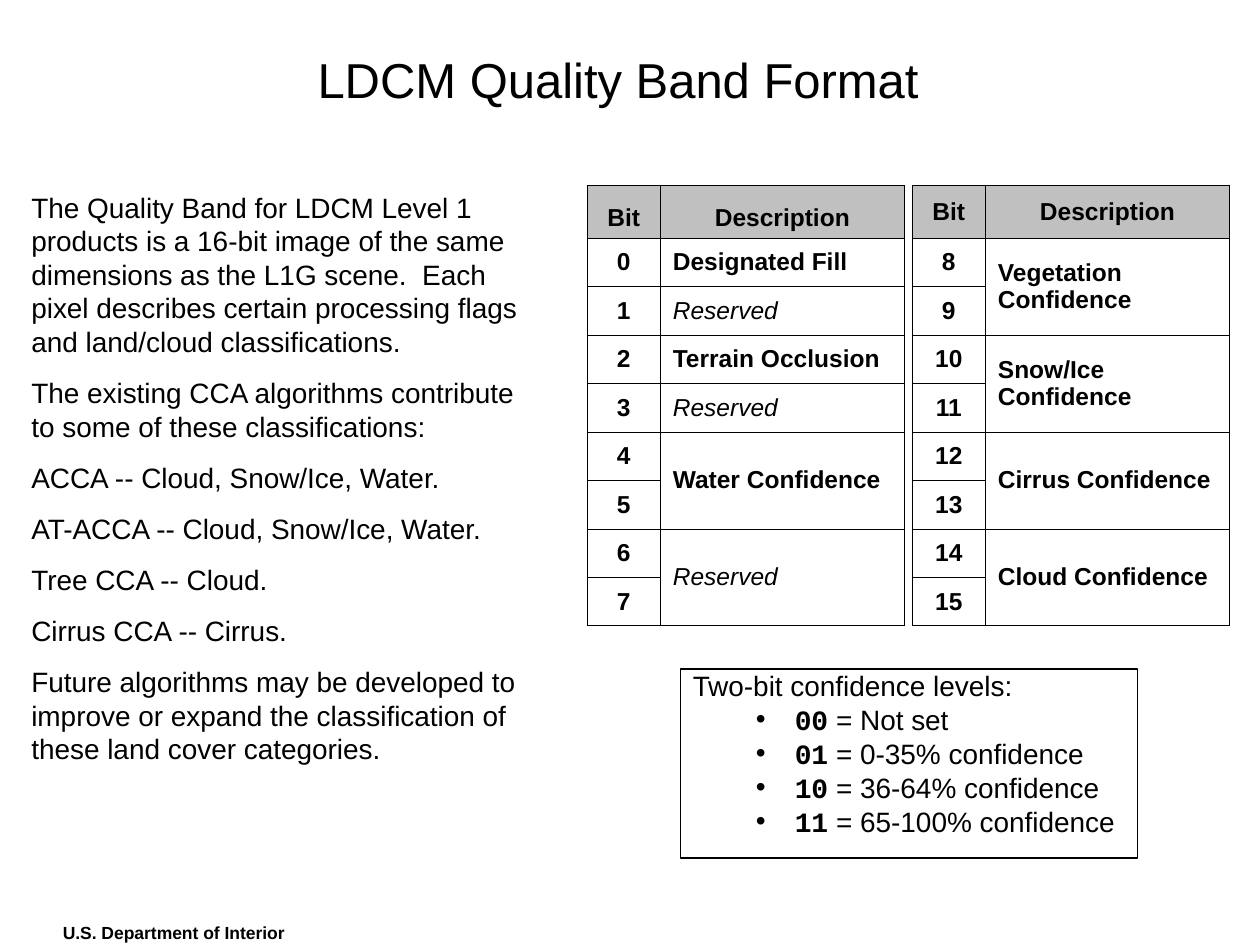
from lxml import etree
from pptx import Presentation
from pptx.dml.color import RGBColor
from pptx.enum.shapes import MSO_SHAPE
from pptx.enum.text import MSO_ANCHOR, MSO_AUTO_SIZE, PP_ALIGN
from pptx.oxml.ns import qn
from pptx.util import Inches, Pt

LEFT, CENTER = PP_ALIGN.LEFT, PP_ALIGN.CENTER
TOP, MIDDLE, BOTTOM = MSO_ANCHOR.TOP, MSO_ANCHOR.MIDDLE, MSO_ANCHOR.BOTTOM
RECTANGLE = MSO_SHAPE.RECTANGLE
NO_AUTOFIT = MSO_AUTO_SIZE.NONE
BLACK, WHITE, GREY = "000000", "FFFFFF", "C0C0C0"
SANS, MONO = "Arial", "Courier New"

INTRO = [
    "The Quality Band for LDCM Level 1 products is a 16-bit image of the same "
    "dimensions as the L1G scene.  Each pixel describes certain processing flags "
    "and land/cloud classifications.",
    "The existing CCA algorithms contribute to some of these classifications:",
    "ACCA -- Cloud, Snow/Ice, Water.",
    "AT-ACCA -- Cloud, Snow/Ice, Water.",
    "Tree CCA -- Cloud.",
    "Cirrus CCA -- Cirrus.",
    "Future algorithms may be developed to improve or expand the classification "
    "of these land cover categories.",
]
# Each field: description and number of bits it takes
LOW_FIELDS = [("Designated Fill", 1), ("Reserved", 1), ("Terrain Occlusion", 1),
              ("Reserved", 1), ("Water Confidence", 2), ("Reserved", 2)]
HIGH_FIELDS = [("Vegetation Confidence", 2), ("Snow/Ice Confidence", 2),
               ("Cirrus Confidence", 2), ("Cloud Confidence", 2)]
LEVELS = [("00", "Not set"), ("01", "0-35% confidence"),
          ("10", "36-64% confidence"), ("11", "65-100% confidence")]


def color(value):
    return RGBColor.from_string(value)


def add_run(paragraph, text, size, bold=False, italic=False, font=SANS):
    run = paragraph.add_run()
    run.text = text
    run.font.size = Pt(size)
    run.font.name = font
    run.font.bold = bold
    run.font.italic = italic
    run.font.color.rgb = color(BLACK)


def add_paragraph(frame, first, before=0, spacing=None, align=LEFT):
    paragraph = frame.paragraphs[0] if first else frame.add_paragraph()
    paragraph.alignment = align
    paragraph.space_before = Pt(before)
    if spacing:
        paragraph.line_spacing = spacing
    return paragraph


def add_bullet(paragraph, margin, indent):
    props = paragraph._p.get_or_add_pPr()
    props.set("marL", str(margin))
    props.set("indent", str(indent))
    etree.SubElement(props, qn("a:buFont")).set("typeface", SANS)
    etree.SubElement(props, qn("a:buChar")).set("char", "•")


def place_title(slide, left, top, width, height):
    title = slide.shapes.title
    title.left, title.top, title.width, title.height = left, top, width, height
    frame = title.text_frame
    frame.auto_size = NO_AUTOFIT
    frame.vertical_anchor = MIDDLE
    add_run(add_paragraph(frame, True), "LDCM Quality Band Format", 28)


def add_text(slide, box, texts, size, before, bold=False):
    frame = slide.shapes.add_textbox(*box).text_frame
    frame.word_wrap = True
    for index, text in enumerate(texts):
        add_run(add_paragraph(frame, index == 0, before), text, size, bold)


def add_cell_borders(cell):
    props = cell._tc.get_or_add_tcPr()
    for position, side in enumerate(("lnL", "lnR", "lnT", "lnB")):
        border = etree.Element(qn("a:" + side), w=str(Pt(0.45)))
        fill = etree.SubElement(border, qn("a:solidFill"))
        etree.SubElement(fill, qn("a:srgbClr")).set("val", BLACK)
        props.insert(position, border)


def fill_cell(cell, text, align=LEFT, anchor=MIDDLE):
    cell.vertical_anchor = anchor
    reserved = text == "Reserved"
    add_run(add_paragraph(cell.text_frame, True, align=align), text, 14,
            bold=not reserved, italic=reserved)


def add_bit_table(slide, left, top, width, height, first_bit, fields, header_anchor):
    bits = sum(count for _, count in fields)
    table = slide.shapes.add_table(bits + 1, 2, left, top, width, height).table
    table.first_row = table.horz_banding = False
    table.columns[0].width = Inches(0.58)
    table.columns[1].width = width - Inches(0.58)
    header_height = Inches(0.42)
    for index, row in enumerate(table.rows):
        row.height = (height - header_height) // bits if index else header_height
        for cell in row.cells:
            cell.fill.solid()
            cell.fill.fore_color.rgb = color(WHITE if index else GREY)
            add_cell_borders(cell)

    # Header and bit numbers
    for column, heading in enumerate(("Bit", "Description")):
        fill_cell(table.cell(0, column), heading, CENTER, header_anchor)
    for bit in range(bits):
        fill_cell(table.cell(bit + 1, 0), str(first_bit + bit), CENTER)

    # Descriptions, merged over the bits they use
    row = 1
    for description, count in fields:
        cell = table.cell(row, 1)
        if count > 1:
            cell.merge(table.cell(row + count - 1, 1))
        fill_cell(cell, description)
        row += count


def add_confidence_key(slide, left, top, width, height):
    key = slide.shapes.add_shape(RECTANGLE, left, top, width, height)
    key.shadow.inherit = False
    key.fill.solid()
    key.fill.fore_color.rgb = color(WHITE)
    key.line.color.rgb = color(BLACK)
    key.line.width = Pt(0.75)
    frame = key.text_frame
    frame.word_wrap = True
    frame.vertical_anchor = TOP
    add_run(add_paragraph(frame, True, 10, 0.8), "Two-bit confidence levels:", 16)
    for code, meaning in LEVELS:
        level = add_paragraph(frame, False, 4, 0.8)
        level.level = 1
        add_bullet(level, Inches(0.81), Inches(-0.31))
        add_run(level, code, 16, bold=True, font=MONO)
        add_run(level, " = " + meaning, 16)


def main():
    prs = Presentation()
    prs.slide_width, prs.slide_height = Inches(10), Inches(7.5)
    slide = prs.slides.add_slide(prs.slide_layouts[5])

    # Footer and title
    footer_box = (Inches(0.4), Inches(7.27), Inches(2.01), Inches(0.27))
    add_text(slide, footer_box, ["U.S. Department of Interior"], 10, 6.2, bold=True)
    place_title(slide, Inches(2.42), Inches(0.27), Inches(7.58), Inches(0.71))

    # Confidence key
    add_confidence_key(slide, Inches(5.4), Inches(5.31), Inches(3.63), Inches(1.5))

    # Bit tables
    tables = [(4.66, 0, LOW_FIELDS, BOTTOM), (7.24, 8, HIGH_FIELDS, MIDDLE)]
    for left, first_bit, fields, anchor in tables:
        add_bit_table(slide, Inches(left), Inches(1.47), Inches(2.52), Inches(3.5),
                      first_bit, fields, anchor)

    # Introduction
    intro_box = (Inches(0.15), Inches(1.46), Inches(4.22), Inches(4.67))
    add_text(slide, intro_box, INTRO, 16, 10)

    prs.save("out.pptx")


if __name__ == "__main__":
    main()
